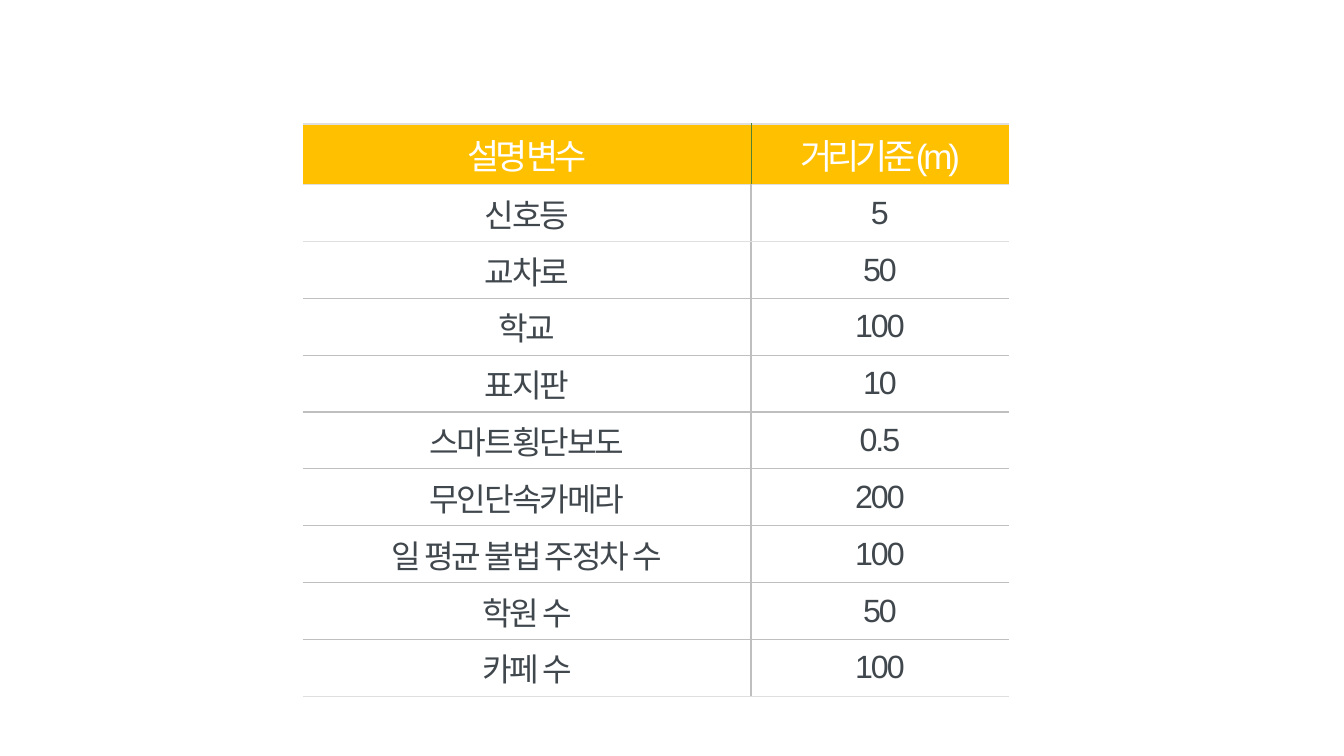
import pptx
import pptx.dml.color
import pptx.enum.text
import pptx.util
import lxml.etree
import pptx.oxml.ns

PX = 914400 / 100.8
COLOURS = {
    "header": "FFC000",
    "body": "FFFFFF",
    "header_text": "FFFFFF",
    "body_text": "40474D",
    "header_divider": "548235",
    "rule": "BFBFBF",
    "light_rule": "DFDFDF",
}
HEADINGS = ("설명 변수", "거리기준(m)")
DISTANCES = [
    ("신호등", "5"),
    ("교차로", "50"),
    ("학교", "100"),
    ("표지판", "10"),
    ("스마트횡단보도", "0.5"),
    ("무인단속카메라", "200"),
    ("일 평균 불법 주정차 수", "100"),
    ("학원 수", "50"),
    ("카페 수", "100"),
]


def px(length):
    """Turn pixels into EMU."""
    return pptx.util.Emu(round(length * PX))


def rgb(name):
    """Return a named colour."""
    return pptx.dml.color.RGBColor.from_string(COLOURS[name])


def add_border(cell, side, colour, points=1):
    """Draw one side of a cell, or leave it open when colour is None."""
    qn = pptx.oxml.ns.qn
    properties = cell._tc.get_or_add_tcPr()
    line = lxml.etree.SubElement(properties, qn(f"a:ln{side}"), w=str(pptx.util.Pt(points)))
    if colour is None:
        lxml.etree.SubElement(line, qn("a:noFill"))
    else:
        fill = lxml.etree.SubElement(line, qn("a:solidFill"))
        lxml.etree.SubElement(fill, qn("a:srgbClr"), val=COLOURS[colour])


def write_cell(cell, text, is_header):
    """Fill a cell and format its centred text."""
    kind = "header" if is_header else "body"
    cell.fill.solid()
    cell.fill.fore_color.rgb = rgb(kind)
    cell.vertical_anchor = pptx.enum.text.MSO_ANCHOR.MIDDLE
    cell.text_frame.text = text
    para = cell.text_frame.paragraphs[0]
    para.alignment = pptx.enum.text.PP_ALIGN.CENTER
    span = para.runs[0]
    span.font.name = "Arial"
    span.font.size = pptx.util.Pt(25 if is_header else 23)
    span.font.bold = False
    span.font.color.rgb = rgb(f"{kind}_text")
    span._r.get_or_add_rPr().set("spc", "-300" if is_header else "-150")


def add_distance_table(page, left, top, width, height):
    """Place the table of variables and distance limits in the given box."""
    rows = [HEADINGS, *DISTANCES]
    last = len(rows) - 1
    box = page.shapes.add_table(len(rows), 2, px(left), px(top), px(width), px(height))
    table = box.table
    table.first_row = table.horz_banding = False
    name_width = round(width * 0.635)
    table.columns[0].width = px(name_width)
    table.columns[1].width = px(width - name_width)
    rules = ["light_rule"] * 3 + ["rule"] * (last - 2) + ["light_rule"]
    for row, texts in enumerate(rows):
        is_header = row == 0
        divider = ("header_divider", 0.5) if is_header else ("rule", 1)
        for column, text in enumerate(texts):
            cell = table.cell(row, column)
            add_border(cell, "L", *(divider if column else (None,)))
            add_border(cell, "R", *((None,) if column else divider))
            add_border(cell, "T", rules[row])
            add_border(cell, "B", rules[row + 1])
            write_cell(cell, text, is_header)


def main():
    """Build and save the deck."""
    deck = pptx.Presentation()
    deck.slide_width, deck.slide_height = px(1344), px(756)
    page = deck.slides.add_slide(deck.slide_layouts[6])
    add_distance_table(page, 303, 124, 706, 550)
    deck.save("out.pptx")


if __name__ == "__main__":
    main()
